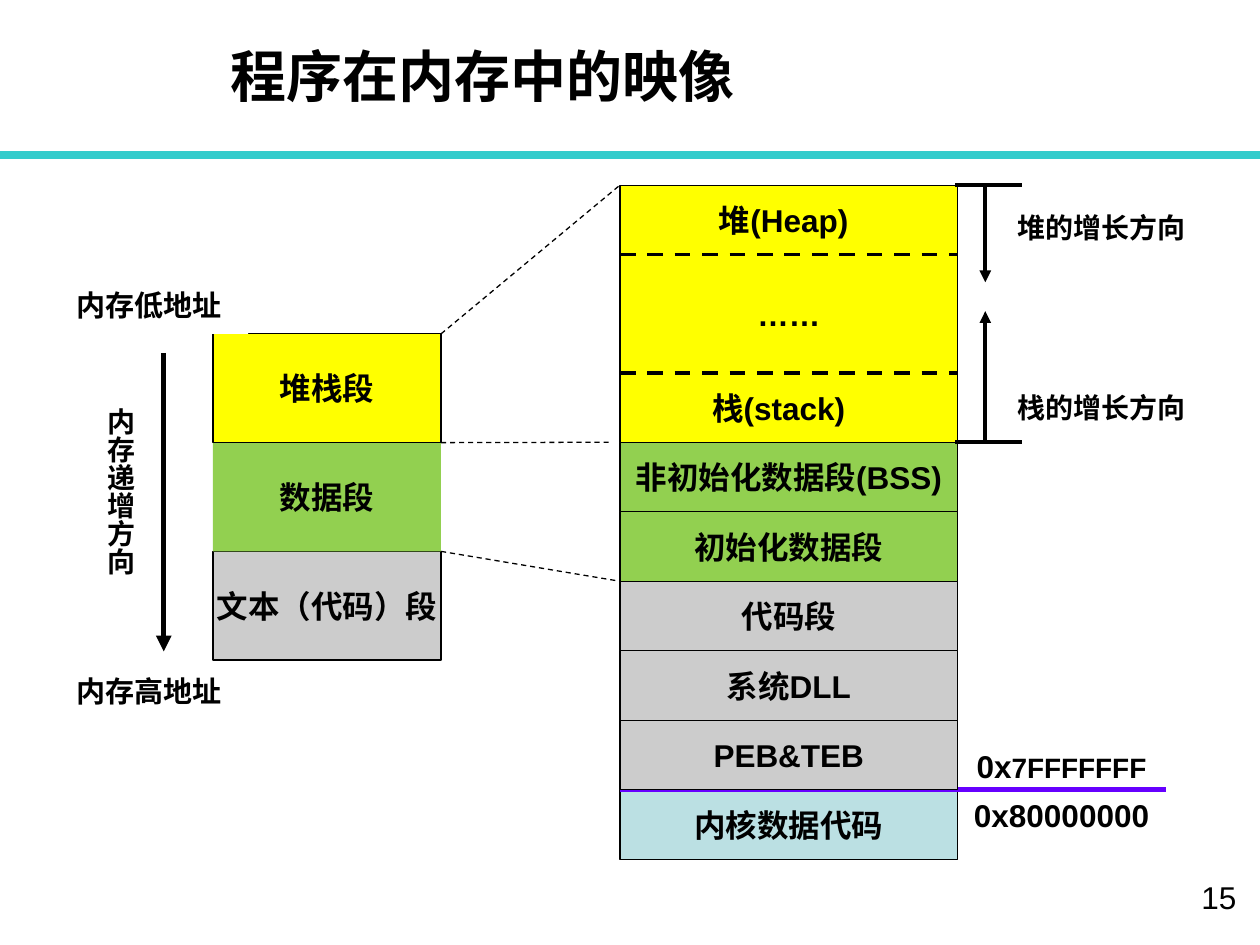
from lxml.etree import SubElement
from pptx import Presentation
from pptx.dml.color import RGBColor
from pptx.enum.dml import MSO_LINE as Dash
from pptx.enum.shapes import MSO_CONNECTOR as Conn, MSO_SHAPE as Shape
from pptx.enum.text import MSO_ANCHOR as Anchor, PP_ALIGN as Align
from pptx.oxml.ns import qn
from pptx.util import Inches, Pt

BLACK = RGBColor(0x00, 0x00, 0x00)
WHITE = RGBColor(0xFF, 0xFF, 0xFF)
YELLOW = RGBColor(0xFF, 0xFF, 0x00)
GREEN = RGBColor(0x92, 0xD0, 0x50)
GRAY = RGBColor(0xCC, 0xCC, 0xCC)
PALE = RGBColor(0xBB, 0xE0, 0xE3)
TEAL = RGBColor(0x33, 0xCC, 0xCC)
VIOLET = RGBColor(0x66, 0x00, 0xFF)
SERIF = "Times New Roman"

SEG_X, SEG_W = 1.69, 1.81
SEG_TOP, SEG_H = 2.65, 0.863
SEG_R = SEG_X + SEG_W
MAP_X, MAP_W = 4.92, 2.68
MAP_R = MAP_X + MAP_W
HEAP_TOP, STACK_END = 1.47, 3.51
ROW_H = (6.82 - STACK_END) / 6


def row_top(row):
    return STACK_END + row * ROW_H


def write(frame, text, size=18, font="Arial", bold=True, align=Align.CENTER,
          anchor=Anchor.MIDDLE, wrap=False, space=None, pad=(0.1, 0.05)):
    frame.word_wrap = wrap
    frame.vertical_anchor = anchor
    frame.margin_left = frame.margin_right = Inches(pad[0])
    frame.margin_top = frame.margin_bottom = Inches(pad[1])
    para = frame.paragraphs[0]
    para.alignment = align
    para.line_spacing = space
    runs = [(text, size)] if isinstance(text, str) else text
    for part, points in runs:
        run = para.add_run()
        run.text = part
        run.font.size = Pt(points)
        run.font.name = font
        run.font.bold = bold
        run.font.color.rgb = BLACK


def label(slide, area, text, **style):
    box = slide.shapes.add_textbox(*map(Inches, area))
    write(box.text_frame, text, **style)
    return box


def block(slide, area, text, fill, edge=True, **style):
    box = slide.shapes.add_shape(Shape.RECTANGLE, *map(Inches, area))
    box.shadow.inherit = False
    box.fill.solid()
    box.fill.fore_color.rgb = fill
    if edge:
        box.line.color.rgb = BLACK
        box.line.width = Pt(0.75)
    else:
        box.line.fill.background()
    write(box.text_frame, text, **style)
    return box


def rule(slide, start, end, width=2.25, color=BLACK, dash=False, arrow=False):
    line = slide.shapes.add_connector(Conn.STRAIGHT, *map(Inches, start + end))
    line.line.color.rgb = color
    line.line.width = Pt(width)
    if dash:
        line.line.dash_style = Dash.DASH
    props = line._element.spPr
    if arrow:
        SubElement(props.find(qn("a:ln")), qn("a:tailEnd"), type="triangle")
    SubElement(props, qn("a:effectLst"))


def map_row(slide, row, text, fill):
    block(slide, (MAP_X, row_top(row), MAP_W, ROW_H), text, fill)


def segments(slide):
    parts = [("堆栈段", YELLOW, True), ("数据段", GREEN, False),
             ("文本（代码）段", GRAY, True)]
    for i, (text, fill, edge) in reversed(list(enumerate(parts))):
        area = (SEG_X, SEG_TOP + i * SEG_H, SEG_W, SEG_H)
        block(slide, area, text, fill, edge)


def address(slide):
    note = dict(font=SERIF, align=Align.JUSTIFY, anchor=Anchor.TOP, wrap=True)
    for top, text in ((2.26, "内存低地址"), (5.33, "内存高地址")):
        block(slide, (0.51, top, 1.46, 0.39), text, WHITE, False,
              size=16.6, space=0.9, **note)
    rule(slide, (1.3, 2.8), (1.3, 5.17), 3, arrow=True)
    side = block(slide, (0.61, 3.14, 0.53, 1.95), "内存递增方向", WHITE, False,
                 size=16, pad=(0.05, 0.1), **note)
    side.text_frame._txBody.bodyPr.set("vert", "eaVert")


def growth(slide):
    label(slide, (4.92, 1.39, 2.6, 0.71), "堆(Heap)")
    label(slide, (4.84, 2.88, 2.68, 0.71), "栈(stack)")
    for y in (2.96, 2.02):
        rule(slide, (MAP_X, y), (MAP_R, y), dash=True)
    ways = [(1.62, "堆的增长方向", HEAP_TOP, 2.24),
            (3.05, "栈的增长方向", STACK_END, 2.47)]
    for top, text, base, tip in ways:
        label(slide, (7.98, top, 1.6, 0.39), text, size=16, font=SERIF,
              align=Align.JUSTIFY, anchor=Anchor.TOP, wrap=True)
        rule(slide, (7.58, base), (8.11, base))
        rule(slide, (7.82, base), (7.82, tip), arrow=True)


def links(slide):
    ends = [(4.84, STACK_END, 1), (MAP_X, HEAP_TOP, 0), (MAP_X, row_top(2), 2)]
    for x, y, seg in ends:
        rule(slide, (SEG_R, SEG_TOP + seg * SEG_H), (x, y), 0.75, dash=True)


def kernel(slide):
    map_row(slide, 5, "内核数据代码", PALE)
    label(slide, (7.44, 6.27, 1.97, 0.4), "0x80000000",
          anchor=Anchor.TOP, wrap=True)
    label(slide, (7.36, 5.88, 2.13, 0.4), [("0x", 18), ("7FFFFFFF", 16)],
          anchor=Anchor.TOP, wrap=True)
    rule(slide, (9.25, row_top(5)), (MAP_X, row_top(5)), 3, VIOLET)


def main():
    deck = Presentation()
    deck.slide_width, deck.slide_height = Inches(10), Inches(7.5)
    slide = deck.slides.add_slide(deck.slide_layouts[6])
    rule(slide, (0, 1.23), (10, 1.23), 5, TEAL)
    label(slide, (7.83, 6.92, 2.08, 0.5), "15", bold=False,
          align=Align.RIGHT, anchor=Anchor.TOP, wrap=True)
    label(slide, (1.83, 0.33, 8.25, 0.54), "程序在内存中的映像", size=32,
          align=Align.LEFT, wrap=True, pad=(0, 0))
    block(slide, (MAP_X, HEAP_TOP, MAP_W, STACK_END - HEAP_TOP), "……", YELLOW)
    segments(slide)
    address(slide)
    map_row(slide, 1, "初始化数据段", GREEN)
    map_row(slide, 0, "非初始化数据段(BSS)", GREEN)
    growth(slide)
    links(slide)
    kernel(slide)
    for row, text in ((4, "PEB&TEB"), (3, "系统DLL"), (2, "代码段")):
        map_row(slide, row, text, GRAY)
    deck.save("out.pptx")


if __name__ == "__main__":
    main()
